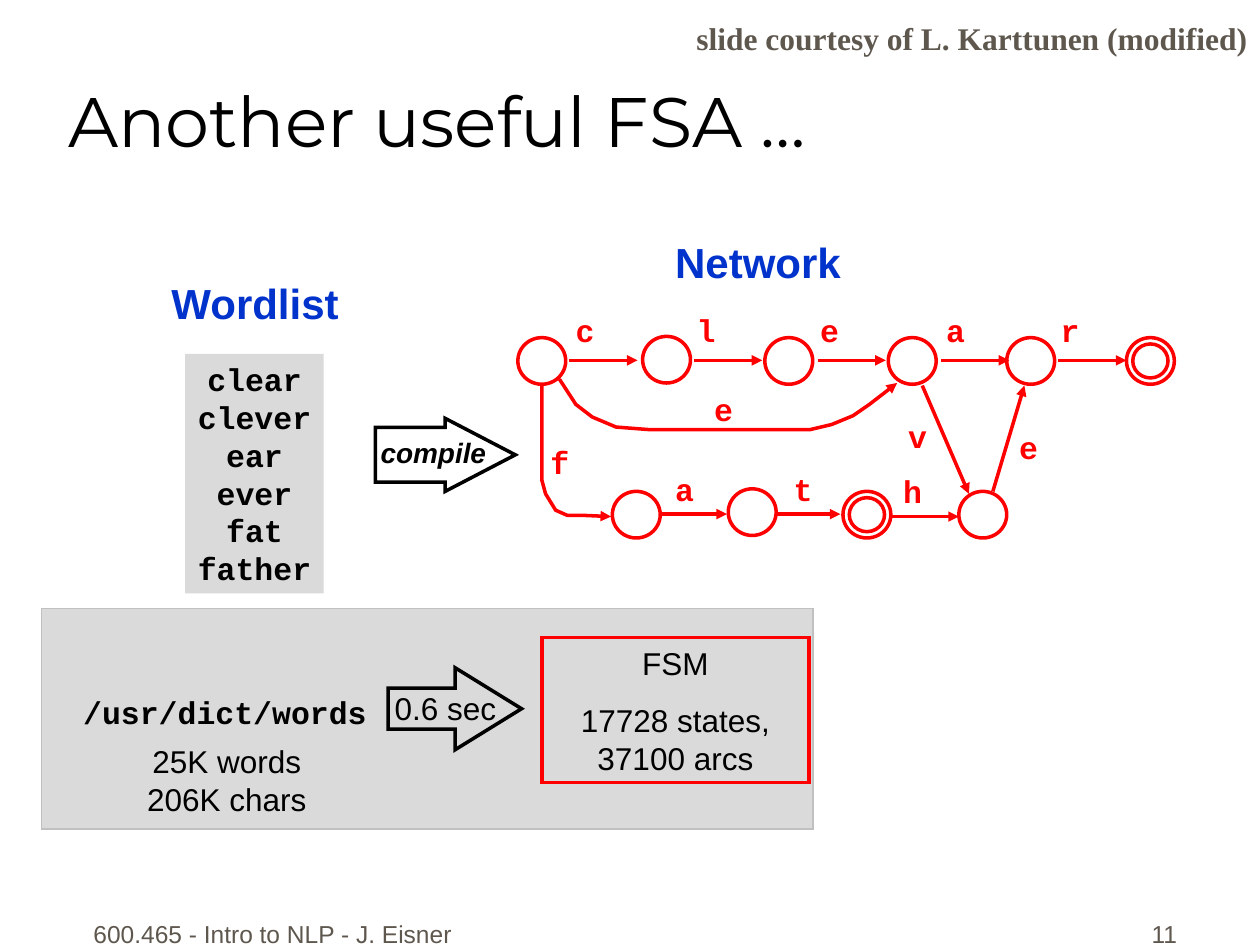
from lxml import etree
from pptx import Presentation
from pptx.dml.color import RGBColor
from pptx.enum import shapes, text
from pptx.oxml import ns
from pptx.util import Inches, Pt

RED = RGBColor(0xFF, 0x00, 0x00)
BLACK = RGBColor(0x00, 0x00, 0x00)
BLUE = RGBColor(0x00, 0x33, 0xCC)
PANEL = RGBColor(0xDA, 0xDA, 0xDA)
EDGE = RGBColor(0xC0, 0xC0, 0xC0)
BROWN = RGBColor(0x5E, 0x57, 0x4E)
LEFT, CENTER, RIGHT = text.PP_ALIGN.LEFT, text.PP_ALIGN.CENTER, text.PP_ALIGN.RIGHT
TOP, BOTTOM = text.MSO_ANCHOR.TOP, text.MSO_ANCHOR.BOTTOM
SHAPE = shapes.MSO_SHAPE

BODY = {"name": "Arial", "size": Pt(18)}
MONO = {"name": "Courier New", "size": Pt(18), "bold": True}
HEADING = {"name": "Arial", "size": Pt(24), "bold": True}
FOOTER = {"name": "Arial", "size": Pt(14)}

prs = Presentation()
prs.slide_width, prs.slide_height = Inches(10), Inches(7.5)
s = prs.slides.add_slide(prs.slide_layouts[5])


def write(sp, lines, font, color=BLACK, align=CENTER, anchor=TOP, wrap=True, gap=0):
    tf = sp.text_frame
    tf.word_wrap, tf.vertical_anchor = wrap, anchor
    for i, line in enumerate(lines):
        p = tf.paragraphs[0] if i == 0 else tf.add_paragraph()
        p.alignment = align
        p.space_before = Pt(gap if i else 0)
        r = p.add_run()
        r.text = line
        for name, value in font.items():
            setattr(r.font, name, value)
        r.font.color.rgb = color


def style(sp, fill=None, line=None, width=2, arrow=False):
    if fill is not None:
        sp.fill.solid()
        sp.fill.fore_color.rgb = fill
    elif hasattr(sp, "fill"):
        sp.fill.background()
    if line is None:
        sp.line.fill.background()
    else:
        sp.line.color.rgb = line
        sp.line.width = Pt(width)
        ln = sp.line._get_or_add_ln()
        etree.SubElement(ln, ns.qn("a:miter"), lim="800000")
        if arrow:
            etree.SubElement(ln, ns.qn("a:tailEnd"), type="triangle")
    if hasattr(sp, "shadow"):
        sp.shadow.inherit = False
    else:
        etree.SubElement(sp._element.spPr, ns.qn("a:effectLst"))


# Title
sp = s.shapes.title
sp.left, sp.top, sp.width, sp.height = map(Inches, (0.44, 0.08, 9.22, 1.25))
write(sp, ["Another useful FSA …"], {"name": "Montserrat", "size": Pt(40)},
      align=LEFT, anchor=BOTTOM)

# Boxes and block arrows: kind, place, fill, line, line width, adjustments
blocks = [
    (SHAPE.RECTANGLE, (0.33, 4.83, 6.12, 1.75), PANEL, EDGE, 1, ()),
    (SHAPE.RECTANGLE, (4.3, 5.06, 2.12, 1.15), None, RED, 2, ()),
    (SHAPE.RIGHT_ARROW, (3.08, 5.3, 1.06, 0.65), None, BLACK, 2, (0.5, 0.81)),
    (SHAPE.RECTANGLE, (1.47, 2.81, 1.1, 1.9), PANEL, None, 0, ()),
    (SHAPE.RIGHT_ARROW, (2.98, 3.32, 1.11, 0.58), None, BLACK, 2, (0.75, 0.96)),
]
made = []
for kind, box, fill, line, width, adjustments in blocks:
    sp = s.shapes.add_shape(kind, *map(Inches, box))
    style(sp, fill, line, width)
    for i, value in enumerate(adjustments):
        sp.adjustments[i] = value
    made.append(sp)
write(made[1], ["FSM", "17728 states, 37100 arcs"], BODY, gap=11.2)
write(made[3], ["clear", "clever", "ear", "ever", "fat", "father"], MONO, wrap=False)

# Captions, credit and footer
captions = [
    ((0.51, 5.45, 2.55, 0.4), ["/usr/dict/words"], MONO, BLACK, CENTER, TOP, False),
    ((3, 5.42, 1.07, 0.4), ["0.6 sec"], BODY, BLACK, CENTER, TOP, True),
    ((1, 5.84, 1.6, 0.7), ["25K words", "206K chars"], BODY, BLACK, CENTER, TOP, False),
    ((1.21, 2.15, 1.63, 0.5), ["Wordlist"], HEADING, BLUE, CENTER, TOP, False),
    ((5.19, 1.83, 1.65, 0.5), ["Network"], HEADING, BLUE, CENTER, TOP, False),
    ((2.87, 3.41, 1.14, 0.36), ["compile"],
     {"name": "Arial", "size": Pt(16), "bold": True, "italic": True},
     BLACK, CENTER, TOP, False),
    ((5, 0, 5, 0.5), ["slide courtesy of L. Karttunen (modified)"],
     {"name": "Times New Roman", "size": Pt(18), "bold": True}, BROWN, RIGHT, BOTTOM, True),
    ((0.58, 7.08, 3.17, 0.5), ["600.465 - Intro to NLP - J. Eisner"],
     FOOTER, BROWN, CENTER, BOTTOM, True),
    ((7.36, 7.08, 2.08, 0.5), ["11"], FOOTER, BROWN, RIGHT, BOTTOM, True),
]
for box, *rest in captions:
    write(s.shapes.add_textbox(*map(Inches, box)), *rest)

# States: left, top, final
states = [
    (4.11, 2.68, False), (5.1, 2.67, False), (6.07, 2.68, False),
    (7.05, 2.68, False), (7.99, 2.68, False), (8.94, 2.68, True),
    (4.86, 3.9, False), (5.78, 3.88, False), (6.69, 3.9, True), (7.61, 3.9, False),
]
for x, y, final in states:
    rings = [(x, y, 0.38, 0.37)]
    if final:
        rings.append((x + 0.05, y + 0.05, 0.28, 0.27))
    for ring in rings:
        style(s.shapes.add_shape(SHAPE.OVAL, *map(Inches, ring)), line=RED)

# Straight arcs
arcs = [(x, 2.86, x + 0.54, 2.86) for x in (4.52, 5.51, 6.49, 7.47, 8.4)]
arcs += [
    (5.24, 4.08, 5.77, 4.08), (6.17, 4.08, 6.67, 4.08), (7.07, 4.1, 7.61, 4.1),
    (7.32, 3.06, 7.69, 3.92), (7.88, 3.9, 8.13, 3.06),
]
for arc in arcs:
    sp = s.shapes.add_connector(shapes.MSO_CONNECTOR.STRAIGHT, *map(Inches, arc))
    style(sp, line=RED, arrow=True)

# Bent arcs from the start state
bends = [
    [(4.44, 3.01), (4.57, 3.21), (4.7, 3.31), (4.89, 3.39), (5.15, 3.41),
     (6.43, 3.41), (6.6, 3.37), (6.77, 3.3), (6.9, 3.21), (7.12, 3.04)],
    [(4.3, 3.06), (4.3, 3.68), (4.3, 3.81), (4.33, 3.92), (4.41, 4.05),
     (4.5, 4.09), (4.61, 4.09), (4.85, 4.1)],
]
for bend in bends:
    start, *others = [(Inches(x), Inches(y)) for x, y in bend]
    fb = s.shapes.build_freeform(*start)
    fb.add_line_segments(others, close=False)
    style(fb.convert_to_shape(), line=RED, arrow=True)

# Arc letters
letters = [
    ("c", 4.47, 2.42), ("l", 5.43, 2.42), ("e", 6.41, 2.42), ("a", 7.41, 2.42),
    ("r", 8.32, 2.42), ("e", 5.57, 3.05), ("v", 7.11, 3.26), ("e", 7.99, 3.35),
    ("f", 4.27, 3.47), ("a", 5.26, 3.68), ("t", 6.2, 3.68), ("h", 7.07, 3.7),
]
for letter, x, y in letters:
    sp = s.shapes.add_textbox(*map(Inches, (x, y, 0.35, 0.4)))
    write(sp, [letter], MONO, RED, LEFT)

prs.save("out.pptx")
